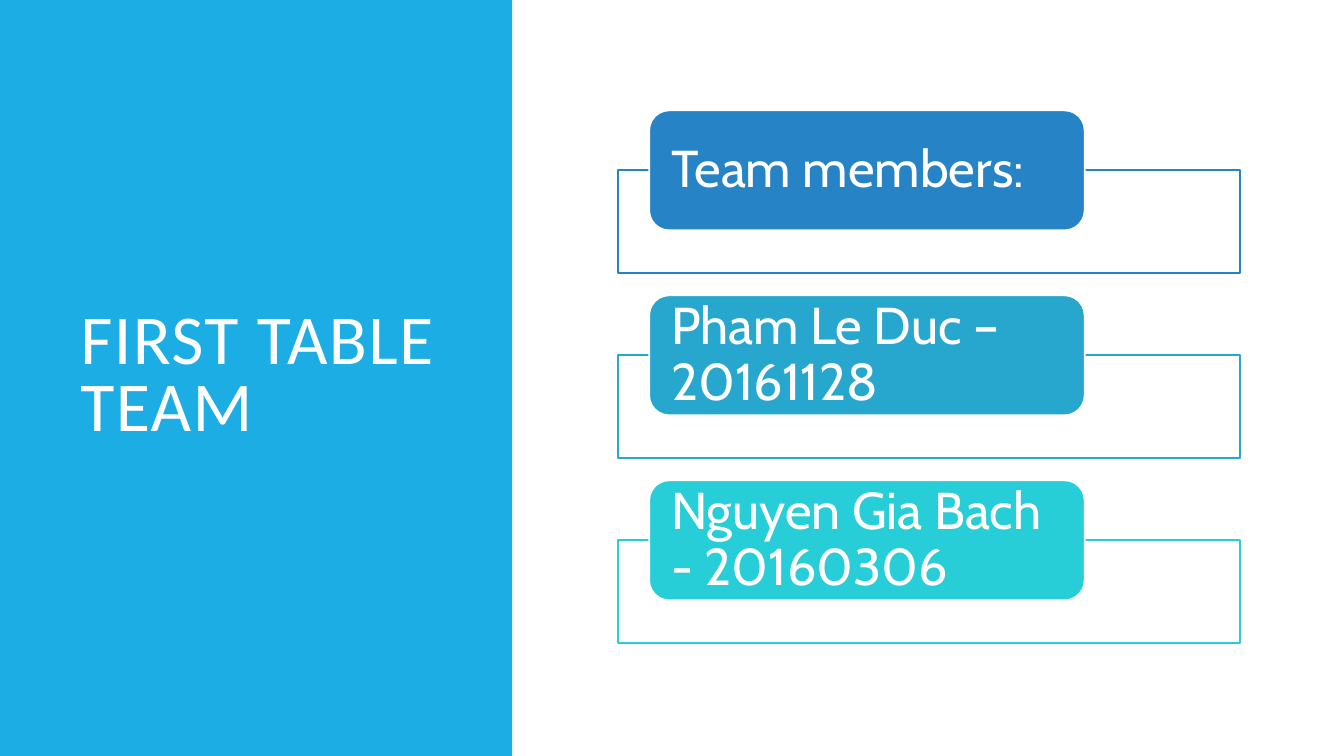
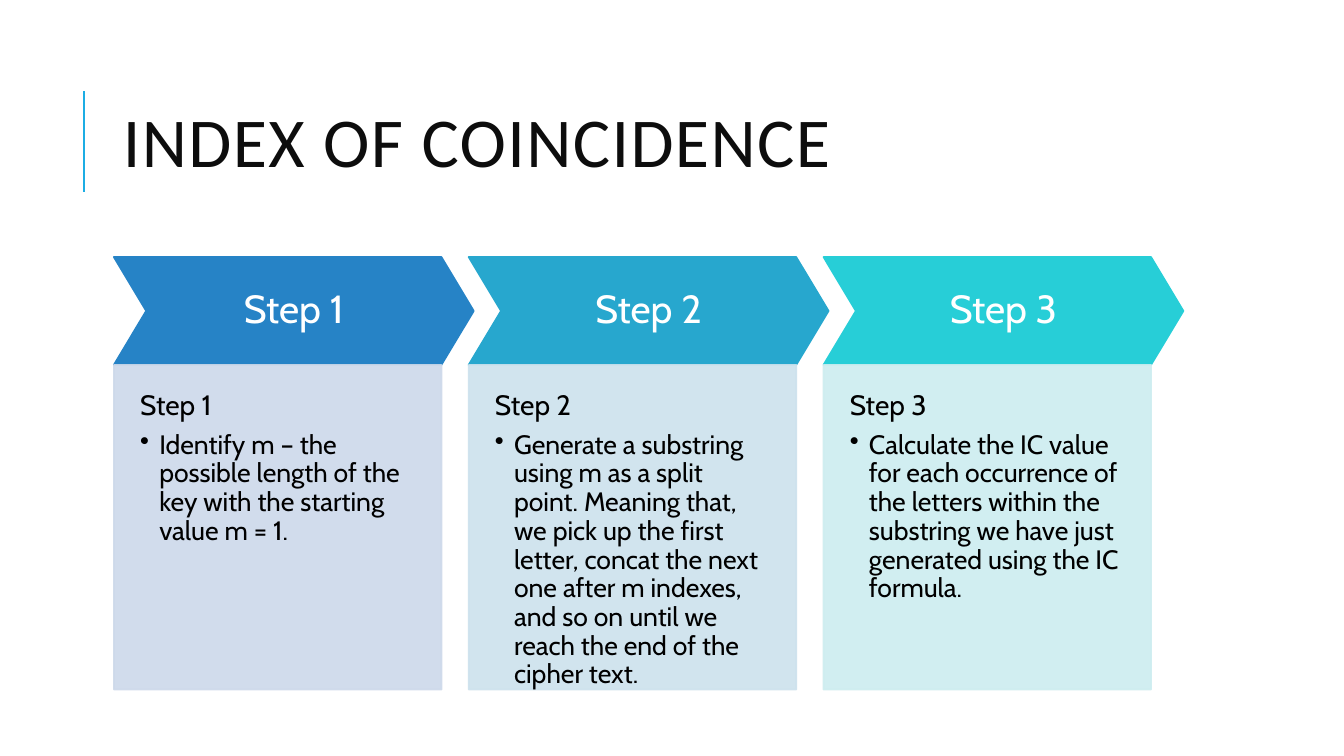
"""Build a team slide and a three-step process slide on a shared grid."""
from dataclasses import dataclass
from typing import Any, NamedTuple

import lxml.etree
import pptx
import pptx.dml.color
import pptx.enum.shapes
import pptx.enum.text
import pptx.oxml.ns
import pptx.util

RGB = pptx.dml.color.RGBColor
SHAPE = pptx.enum.shapes.MSO_SHAPE
ANCHOR = pptx.enum.text.MSO_ANCHOR
ALIGN = pptx.enum.text.PP_ALIGN
Pt = pptx.util.Pt

WHITE = RGB(0xFF, 0xFF, 0xFF)
BLACK = RGB(0x00, 0x00, 0x00)
INK = RGB(0x0D, 0x0D, 0x0D)
SKY = RGB(0x1C, 0xAD, 0xE4)
BLUE = RGB(0x26, 0x83, 0xC6)
TEAL = RGB(0x27, 0xA7, 0xCE)
AQUA = RGB(0x27, 0xCE, 0xD7)
PALE_BLUE = RGB(0xCD, 0xD9, 0xEA)
PALE_TEAL = RGB(0xCD, 0xE2, 0xED)
PALE_AQUA = RGB(0xCD, 0xED, 0xF0)

SLIDE_WIDTH = pptx.util.Inches(13.333)
SLIDE_HEIGHT = pptx.util.Inches(7.5)
COLUMNS, ROWS = 133.33, 75
OUTLINE = Pt(1.25)
MEMBER_PITCH = 18.35
STEP_PITCH = 35.2
BULLET_INDENT = 1.9


class Area(NamedTuple):
    """Left, top, width and height in grid columns and rows."""

    left: float
    top: float
    width: float
    height: float

    def shifted(self, columns: float = 0, rows: float = 0) -> "Area":
        """Return the area moved along the grid."""
        return self._replace(left=self.left + columns, top=self.top + rows)


class Member(NamedTuple):
    """One label of the team list."""

    label: str
    color: RGB


class Step(NamedTuple):
    """One stage of the process."""

    heading: str
    detail: str
    color: RGB
    tint: RGB


@dataclass(frozen=True)
class TextStyle:
    """Format values of one kind of paragraph."""

    font: dict[str, Any]
    paragraph: dict[str, Any]
    tracking: int = 0
    bullet: bool = False


def title_style(color: RGB) -> TextStyle:
    """Return the shared title style in one colour."""
    font = {"name": "Calibri", "size": Pt(50)}
    return TextStyle(font | {"color": color}, {"line_spacing": 0.8}, tracking=100)


def body_style(size: float, color: RGB, after: float, bullet: bool = False,
               **paragraph: Any) -> TextStyle:
    """Return a Cabin body style."""
    return TextStyle(
        {"name": "Cabin", "size": Pt(size), "color": color},
        {"line_spacing": 0.9, "space_after": Pt(after)} | paragraph,
        bullet=bullet,
    )


MEMBER_STYLE = body_style(37, WHITE, 13, alignment=ALIGN.LEFT)
ARROW_STYLE = body_style(28, WHITE, 10, alignment=ALIGN.CENTER)
HEADING_STYLE = body_style(20, BLACK, 7, alignment=ALIGN.LEFT)
DETAIL_STYLE = body_style(19, BLACK, 3, bullet=True, alignment=ALIGN.LEFT, level=1)

MEMBERS = (
    Member("Team members:", BLUE),
    Member("Pham Le Duc – 20161128", TEAL),
    Member("Nguyen Gia Bach - 20160306", AQUA),
)
STEPS = (
    Step("Step 1", "Identify m – the possible length of the key with the "
         "starting value m = 1.", BLUE, PALE_BLUE),
    Step("Step 2", "Generate a substring using m as a split point. Meaning that, "
         "we pick up the first letter, concat the next one after m indexes, and so "
         "on until we reach the end of the cipher text.", TEAL, PALE_TEAL),
    Step("Step 3", "Calculate the IC value for each occurrence of the letters "
         "within the substring we have just generated using the IC formula.",
         AQUA, PALE_AQUA),
)


def across(columns: float) -> int:
    """Convert grid columns to a length."""
    return round(SLIDE_WIDTH * columns / COLUMNS)


def down(rows: float) -> int:
    """Convert grid rows to a length."""
    return round(SLIDE_HEIGHT * rows / ROWS)


def placed(area: Area) -> tuple[int, int, int, int]:
    """Convert a grid area to slide lengths."""
    return across(area.left), down(area.top), across(area.width), down(area.height)


def apply_format(target: Any, values: dict[str, Any]) -> None:
    """Set each format value on the target."""
    for name, value in values.items():
        if name == "color":
            target.color.rgb = value
        else:
            setattr(target, name, value)


def add_child(parent: Any, tag: str, **attributes: str) -> Any:
    """Append a drawing element with attributes."""
    return lxml.etree.SubElement(parent, pptx.oxml.ns.qn(tag), attributes)


def fade(shape: Any, colors: str) -> None:
    """Make the colours found by the query 90 percent opaque."""
    for color in shape.element.spPr.xpath(colors):
        add_child(color, "a:alpha", val="90000")


def write(shape: Any, lines: list[tuple[str, TextStyle]], anchor: Any,
          insets: tuple[float, float, float, float]) -> None:
    """Write styled paragraphs with insets given in grid units."""
    left, top, right, bottom = insets
    frame = shape.text_frame
    apply_format(frame, {
        "word_wrap": True, "vertical_anchor": anchor,
        "margin_left": across(left), "margin_top": down(top),
        "margin_right": across(right), "margin_bottom": down(bottom),
    })
    for index, (wording, style) in enumerate(lines):
        paragraph = frame.add_paragraph() if index else frame.paragraphs[0]
        apply_format(paragraph, style.paragraph)
        run = paragraph.add_run()
        run.text = wording
        apply_format(run.font, style.font)
        if style.tracking:
            run._r.get_or_add_rPr().set("spc", str(style.tracking))
        if style.bullet:
            properties = paragraph._p.get_or_add_pPr()
            properties.set("marL", str(across(BULLET_INDENT)))
            properties.set("indent", str(-across(BULLET_INDENT)))
            add_child(properties, "a:buChar", char="•")


def add_block(slide: Any, kind: Any, area: Area, fill: RGB, outline: RGB | None) -> Any:
    """Draw a flat filled shape."""
    block = slide.shapes.add_shape(kind, *placed(area))
    block.shadow.inherit = False
    block.fill.solid()
    block.fill.fore_color.rgb = fill
    if outline is None:
        block.line.fill.background()
    else:
        apply_format(block.line, {"color": outline, "width": OUTLINE})
    return block


def add_title(slide: Any, wording: str, area: Area, color: RGB) -> None:
    """Write a slide title."""
    title = slide.shapes.add_textbox(*placed(area))
    write(title, [(wording, title_style(color))], ANCHOR.MIDDLE, (1, 0.5, 1, 0.5))


def add_title_rule(slide: Any) -> None:
    """Draw the vertical rule beside a title."""
    rule = slide.shapes.add_connector(
        pptx.enum.shapes.MSO_CONNECTOR.STRAIGHT,
        across(8.33), down(19), across(8.33), down(9))
    apply_format(rule.line, {"color": SKY, "width": Pt(1.5)})
    add_child(rule.element.spPr, "a:effectLst")


def add_member(slide: Any, member: Member, position: int) -> None:
    """Draw a framed team label."""
    offset = position * MEMBER_PITCH
    frame = add_block(slide, SHAPE.RECTANGLE,
                      Area(61.3, 16.9, 61.7, 10.2).shifted(rows=offset),
                      WHITE, member.color)
    fade(frame, "./a:solidFill/a:srgbClr")
    label = add_block(slide, SHAPE.ROUNDED_RECTANGLE,
                      Area(64.4, 10.95, 43.2, 11.9).shifted(rows=offset),
                      member.color, WHITE)
    write(label, [(member.label, MEMBER_STYLE)], ANCHOR.MIDDLE, (1.6, 0, 1.6, 0))


def add_step(slide: Any, step: Step, position: int) -> None:
    """Draw a step arrow and its explanation."""
    offset = position * STEP_PITCH
    arrow = add_block(slide, SHAPE.CHEVRON,
                      Area(11.3, 25.5, 35.7, 10.7).shifted(columns=offset),
                      step.color, step.color)
    arrow.adjustments[0] = 0.3
    write(arrow, [(step.heading, ARROW_STYLE)], ANCHOR.MIDDLE, (1.3, 1.3, 1.3, 1.3))
    panel = add_block(slide, SHAPE.RECTANGLE,
                      Area(11.3, 36.2, 32.5, 32.2).shifted(columns=offset),
                      step.tint, step.tint)
    fade(panel, ".//a:srgbClr")
    write(panel, [(step.heading, HEADING_STYLE), (step.detail, DETAIL_STYLE)],
          ANCHOR.TOP, (2.6, 2.6, 2.6, 5.1))


def build_team(slide: Any) -> None:
    """Compose the team slide."""
    add_block(slide, SHAPE.RECTANGLE, Area(0, 0, 50.8, ROWS), SKY, None)
    add_title(slide, "FIRST TABLE TEAM", Area(7, 7, 37.4, 60.9), WHITE)
    for position, member in enumerate(MEMBERS):
        add_member(slide, member, position)


def build_process(slide: Any) -> None:
    """Compose the process slide."""
    add_title_rule(slide)
    add_title(slide, "INDEX OF COINCIDENCE", Area(11.2, 6.4, 106.3, 16.4), INK)
    for position, step in enumerate(STEPS):
        add_step(slide, step, position)


def main() -> None:
    """Build and save the presentation."""
    deck = pptx.Presentation()
    apply_format(deck, {"slide_width": SLIDE_WIDTH, "slide_height": SLIDE_HEIGHT})
    blank = deck.slide_layouts[6]
    for build in (build_team, build_process):
        build(deck.slides.add_slide(blank))
    deck.save("out.pptx")


main()
